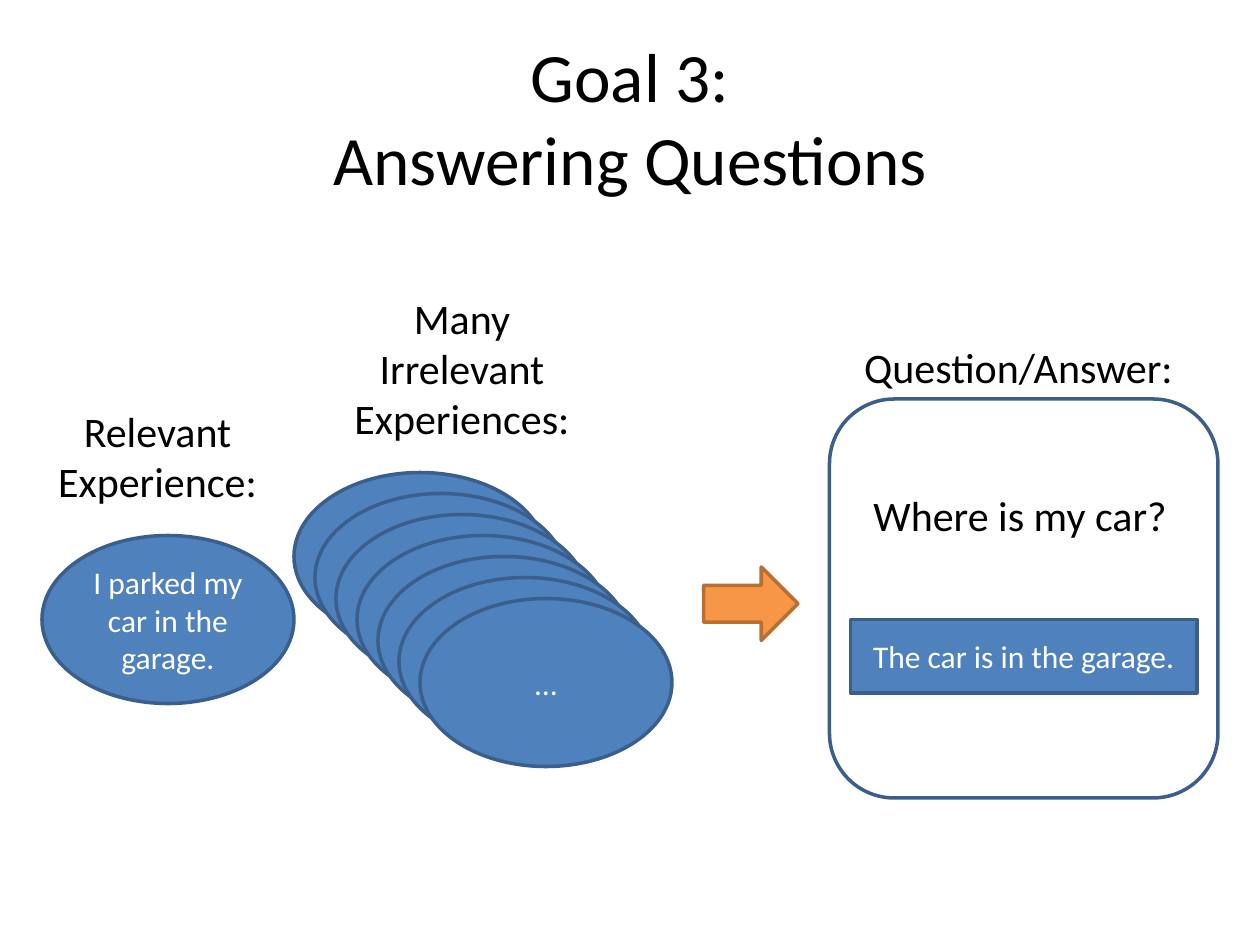
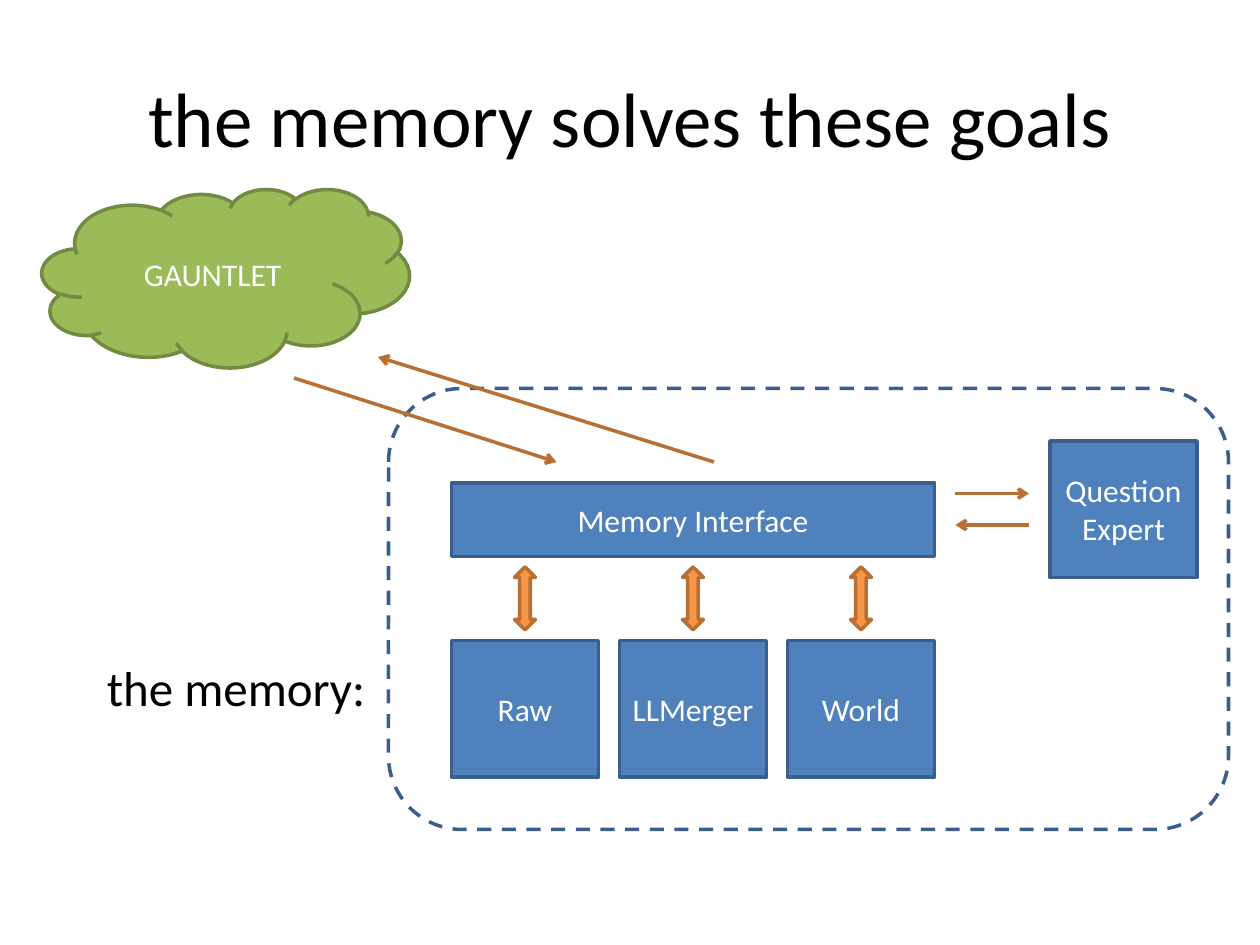
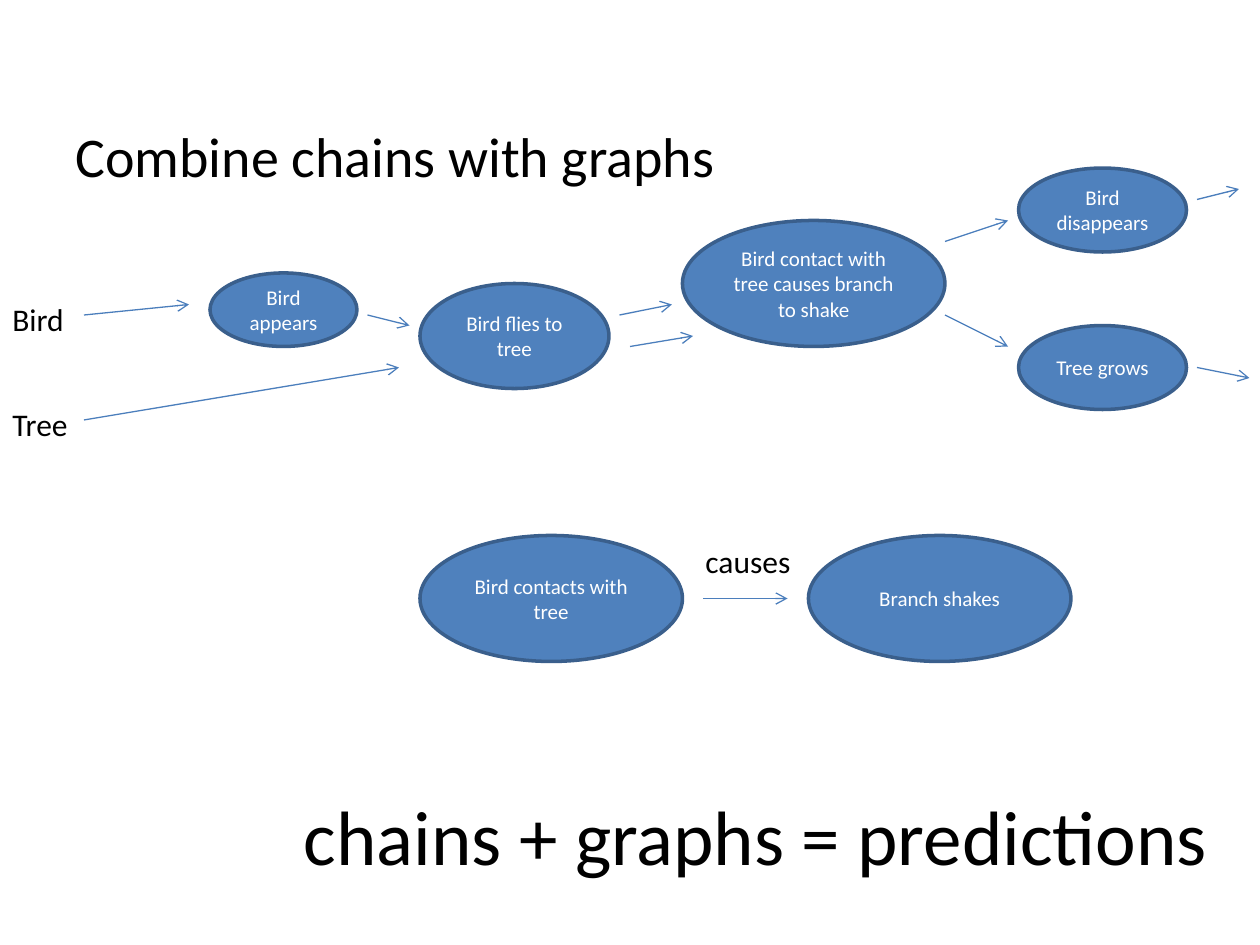
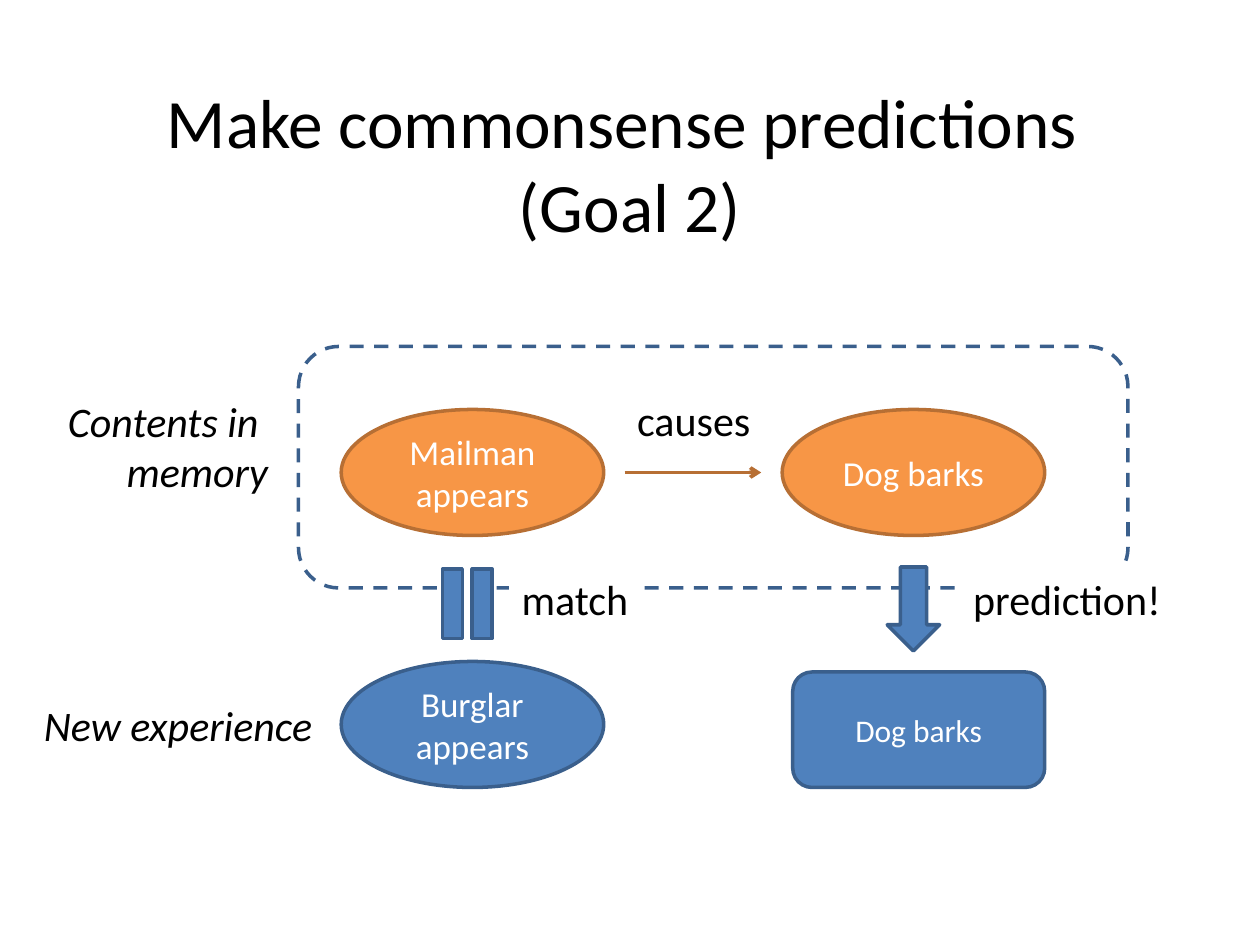
"""Build four slides on a memory that answers questions and makes predictions."""
from dataclasses import dataclass

from lxml import etree
from pptx import Presentation
from pptx.dml.color import RGBColor
from pptx.enum.dml import MSO_LINE
from pptx.enum.shapes import MSO_CONNECTOR, MSO_SHAPE
from pptx.enum.text import MSO_ANCHOR, MSO_AUTO_SIZE, PP_ALIGN
from pptx.oxml.ns import qn
from pptx.slide import Slide
from pptx.text.text import TextFrame
from pptx.util import Pt

FONT = "Calibri"
BLACK = RGBColor(0x00, 0x00, 0x00)
WHITE = RGBColor(0xFF, 0xFF, 0xFF)
BLUE = RGBColor(0x4F, 0x81, 0xBD)
BLUE_EDGE = RGBColor(0x3A, 0x5F, 0x8C)
BLUE_LINK = RGBColor(0x4B, 0x7E, 0xBC)
ORANGE = RGBColor(0xF7, 0x96, 0x46)
ORANGE_EDGE = RGBColor(0xB7, 0x6F, 0x34)
GREEN = RGBColor(0x9B, 0xBB, 0x59)
GREEN_EDGE = RGBColor(0x73, 0x8A, 0x42)
EDGES = {BLUE: BLUE_EDGE, ORANGE: ORANGE_EDGE, GREEN: GREEN_EDGE, WHITE: BLUE_EDGE}

OVAL = MSO_SHAPE.OVAL
RECT = MSO_SHAPE.RECTANGLE
ROUNDED = MSO_SHAPE.ROUNDED_RECTANGLE
CLOUD = MSO_SHAPE.CLOUD
RIGHT_ARROW = MSO_SHAPE.RIGHT_ARROW
DOWN_ARROW = MSO_SHAPE.DOWN_ARROW
UP_DOWN_ARROW = MSO_SHAPE.UP_DOWN_ARROW
EQUALS = MSO_SHAPE.MATH_EQUAL
STRAIGHT = MSO_CONNECTOR.STRAIGHT
DASH = MSO_LINE.DASH
MIDDLE = MSO_ANCHOR.MIDDLE
LEFT, CENTER, RIGHT = PP_ALIGN.LEFT, PP_ALIGN.CENTER, PP_ALIGN.RIGHT
NO_FIT, GROW = MSO_AUTO_SIZE.NONE, MSO_AUTO_SIZE.SHAPE_TO_FIT_TEXT
TITLE_ONLY = 5


@dataclass(frozen=True)
class Box:
    """A place on the slide, in points."""
    left: float
    top: float
    width: float
    height: float


@dataclass(frozen=True)
class Node:
    """A filled and outlined shape with optional centred text."""
    kind: int
    box: Box
    text: str = ""
    size: float = 18
    fill: RGBColor = BLUE
    dashed: bool = False
    rotation: float = 0


@dataclass(frozen=True)
class Label:
    """Free text, on white where it covers a line."""
    box: Box
    text: str
    size: float = 24
    align: int = LEFT
    wrap: bool = False
    italic: bool = False
    backed: bool = False


@dataclass(frozen=True)
class Link:
    """An arrow between two points."""
    start: tuple[float, float]
    end: tuple[float, float]
    color: RGBColor = ORANGE_EDGE
    width: float = 2


def write(frame: TextFrame, text: str, size: float, color: RGBColor,
          align: int, italic: bool = False) -> None:
    """Write one paragraph per line of the text."""
    for index, line in enumerate(text.split("\n")):
        paragraph = frame.add_paragraph() if index else frame.paragraphs[0]
        paragraph.alignment = align
        for part, words in enumerate(line.split("\v")):
            if part:
                paragraph.add_line_break()
            run = paragraph.add_run()
            run.text = words
            run.font.name = FONT
            run.font.size = Pt(size)
            run.font.color.rgb = color
            run.font.italic = italic


def draw_node(slide: Slide, node: Node) -> None:
    """Draw a shape and its text."""
    box = node.box
    shape = slide.shapes.add_shape(node.kind, Pt(box.left), Pt(box.top), Pt(box.width), Pt(box.height))
    shape.shadow.inherit = False
    shape.rotation = node.rotation
    shape.fill.solid()
    shape.fill.fore_color.rgb = node.fill
    shape.line.color.rgb = EDGES[node.fill]
    shape.line.width = Pt(2)
    if node.dashed:
        shape.line.dash_style = DASH
    if node.text:
        shape.text_frame.word_wrap = True
        shape.text_frame.vertical_anchor = MIDDLE
        write(shape.text_frame, node.text, node.size, WHITE, CENTER)


def draw_label(slide: Slide, label: Label) -> None:
    """Draw free text."""
    box = label.box
    caption = slide.shapes.add_textbox(Pt(box.left), Pt(box.top), Pt(box.width), Pt(box.height))
    caption.text_frame.word_wrap = label.wrap
    caption.text_frame.auto_size = GROW
    if label.backed:
        caption.fill.solid()
        caption.fill.fore_color.rgb = WHITE
    write(caption.text_frame, label.text, label.size, BLACK, label.align, label.italic)


def draw_link(slide: Slide, link: Link) -> None:
    """Draw an arrow without a shadow."""
    connector = slide.shapes.add_connector(STRAIGHT, *map(Pt, link.start + link.end))
    connector.line.color.rgb = link.color
    connector.line.width = Pt(link.width)
    etree.SubElement(connector.line._get_or_add_ln(), qn("a:tailEnd"), type="arrow")
    etree.SubElement(connector._element.spPr, qn("a:effectLst"))


PAINTERS = {Node: draw_node, Label: draw_label, Link: draw_link}


def add_slide(deck: Presentation, title: str, parts: list[Node | Label | Link],
              size: float = 44, left: float = 36, top: float = 21.6) -> None:
    """Add a titled slide and draw its parts from back to front."""
    slide = deck.slides.add_slide(deck.slide_layouts[TITLE_ONLY])
    heading = slide.shapes.title
    heading.left, heading.top, heading.width, heading.height = Pt(left), Pt(top), Pt(648), Pt(90)
    heading.text_frame.word_wrap = True
    heading.text_frame.auto_size = NO_FIT
    heading.text_frame.vertical_anchor = MIDDLE
    write(heading.text_frame, title, size, BLACK, CENTER)
    for part in parts:
        PAINTERS[type(part)](slide, part)


def question_parts() -> list[Node | Label | Link]:
    """Return experiences leading to a question and its answer."""
    irrelevant = [
        Node(OVAL, Box(168 + 12 * step, 270 + 12 * step, 144, 96), "…" if step == 6 else "")
        for step in range(7)
    ]
    return [
        Node(ROUNDED, Box(474, 228, 222, 228), fill=WHITE),
        Node(OVAL, Box(24, 306, 144, 96), "I parked my car in the garage."),
        *irrelevant,
        Label(Box(492, 276, 183.6, 36), "Where is my car?"),
        Node(RECT, Box(486, 354, 198, 42), "The car is in the garage."),
        Node(RIGHT_ARROW, Box(402, 324, 54, 42), fill=ORANGE),
        Label(Box(180, 163.4, 168, 94.3), "Many\nIrrelevant\nExperiences:", align=CENTER, wrap=True),
        Label(Box(480, 191.5, 204, 36), "Question/Answer:", align=CENTER, wrap=True),
        Label(Box(6, 228, 168, 65.5), "Relevant\nExperience:", align=CENTER, wrap=True),
    ]


def memory_parts() -> list[Node | Label | Link]:
    """Return the memory, its stores and its partners."""
    stores = []
    for column, store in enumerate(("Raw", "LLMerger", "World")):
        left = 258 + 96 * column
        stores.append(Node(RECT, Box(left, 366, 84, 78), store))
        stores.append(Node(UP_DOWN_ARROW, Box(left + 36, 324, 12, 36), fill=ORANGE))
    return [
        Node(ROUNDED, Box(222, 222, 480, 252), fill=WHITE, dashed=True),
        Node(RECT, Box(258, 276, 276, 42), "Memory Interface"),
        *stores,
        Node(RECT, Box(600, 252, 84, 78), "Question Expert"),
        Node(CLOUD, Box(24, 108, 210, 102), "GAUNTLET", fill=GREEN),
        Link((168, 216), (318, 264)),
        Link((408, 264), (216, 204)),
        Link((546, 282), (588, 282)),
        Link((588, 300), (546, 300)),
        Label(Box(54, 372, 163.4, 41), "the memory:", 28),
    ]


def chain_parts() -> list[Node | Label | Link]:
    """Return chains of events joined into a graph."""
    events = [
        (Box(120, 156, 84, 42), "Bird appears"),
        (Box(240, 162, 108, 60), "Bird flies to tree"),
        (Box(390, 126, 150, 72), "Bird contact with tree causes branch to shake"),
        (Box(582, 96, 96, 48), "Bird disappears"),
        (Box(582, 186, 96, 48), "Tree grows"),
        (Box(240, 306, 150, 72), "Bird contacts with tree"),
        (Box(462, 306, 150, 72), "Branch shakes"),
    ]
    steps = [
        ((48, 180), (108, 174)),
        ((210, 180), (234, 186)),
        ((354, 180), (384, 174)),
        ((48, 240), (228, 210)),
        ((360, 198), (396, 192)),
        ((540, 138), (576, 126)),
        ((540, 180), (576, 198)),
        ((684, 114), (708, 108)),
        ((684, 210), (714, 216)),
        ((402, 342), (450, 342)),
    ]
    return [
        Label(Box(36, 66, 492, 78), "Combine chains with graphs", 32, wrap=True),
        *(Node(OVAL, box, event, 12) for box, event in events),
        *(Link(start, end, BLUE_LINK, 0.75) for start, end in steps),
        Label(Box(0, 168, 44, 29), "Bird", 18),
        Label(Box(0, 228, 47, 29), "Tree", 18),
        Label(Box(396, 306, 63.4, 29), "causes", 18),
    ]


def prediction_parts() -> list[Node | Label | Link]:
    """Return a remembered event matched with a new one."""
    return [
        Node(ROUNDED, Box(170.6, 198, 474, 138), fill=WHITE, dashed=True),
        Node(OVAL, Box(195, 234, 150, 72), "Mailman appears", 20, ORANGE),
        Node(OVAL, Box(447, 234, 150, 72), "Dog barks", 20, ORANGE),
        Link((357, 270), (435, 270)),
        Label(Box(357, 222, 80, 36), "causes", backed=True),
        Node(OVAL, Box(195, 378, 150, 72), "Burglar\nappears", 20),
        Node(ROUNDED, Box(453, 384, 144, 66), "Dog barks"),
        Node(EQUALS, Box(240, 321, 54, 48), rotation=270),
        Node(DOWN_ARROW, Box(507, 324, 30, 48)),
        Label(Box(291, 324, 76.3, 36), "match", backed=True),
        Label(Box(549, 324, 123, 36), "prediction!", backed=True),
        Label(Box(30, 222.5, 130.3, 65.5), "Contents in \nmemory", align=RIGHT, italic=True, backed=True),
        Label(Box(18, 396, 170, 36), "New experience", italic=True, backed=True),
    ]


def main() -> None:
    """Build and save the deck."""
    deck = Presentation()
    deck.slide_width, deck.slide_height = Pt(720), Pt(540)
    add_slide(deck, "Goal 3:\vAnswering Questions", question_parts(), size=39.6)
    add_slide(deck, "the memory solves these goals", memory_parts())
    add_slide(deck, "chains + graphs = predictions", chain_parts(), left=108, top=432)
    add_slide(deck, "Make commonsense predictions \v(Goal 2)", prediction_parts(), size=39.6, top=48)
    deck.save("out.pptx")


main()
